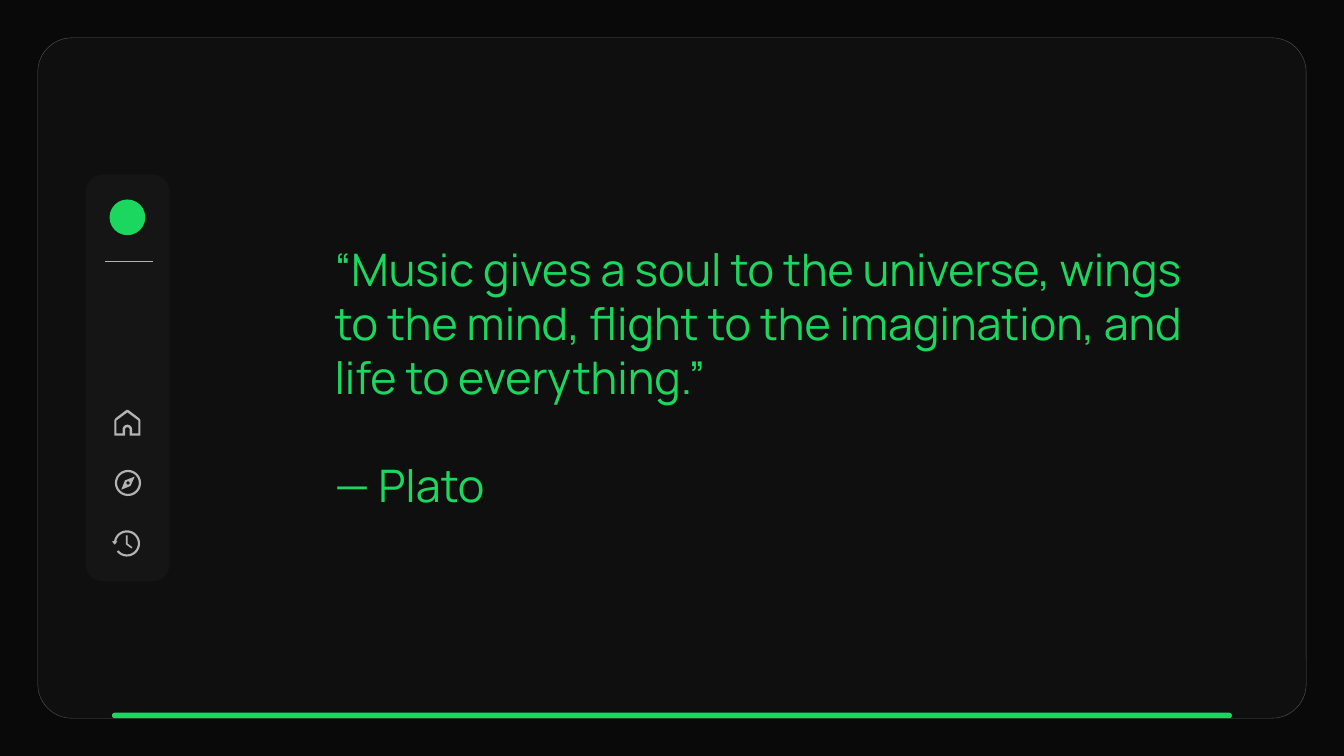
import math
from pptx import Presentation, util as u
from pptx.dml.color import RGBColor
from pptx.enum import shapes, text
from pptx.oxml.ns import qn

COLORS = {
    "backdrop": "090909",
    "card": "0F0F0F",
    "card_edge": "5A5A5A",
    "sidebar": "151515",
    "green": "1BD75F",
    "icon": "B3B3B3",
}
COLS, ROWS = 160, 90  # square grid cells, 12 to the inch


def arc(radius, start, end, cy=0, steps=32):
    """Points along an arc around (0, cy); angles in degrees, clockwise."""
    angles = [math.radians(start + (end - start) * i / steps) for i in range(steps + 1)]
    return [(radius * math.cos(a), cy + radius * math.sin(a)) for a in angles]


class QuoteSlide:
    font = "Manrope"
    hairline = u.Pt(0.25)

    def __init__(self, deck):
        self.slide = deck.slides.add_slide(deck.slide_layouts[6])
        self.cell = deck.slide_width / COLS
        fill = self.slide.background.fill
        fill.solid()
        fill.fore_color.rgb = self.color("backdrop")

    def color(self, name):
        return RGBColor.from_string(COLORS[name])

    def emu(self, *cells):
        return [round(c * self.cell) for c in cells]

    def paint(self, shape, fill, edge=None):
        shape.shadow.inherit = False
        shape.fill.solid()
        shape.fill.fore_color.rgb = self.color(fill)
        if edge:
            shape.line.color.rgb = self.color(edge)
            shape.line.width = self.hairline
        else:
            shape.line.fill.background()

    def preset(self, kind, left, top, width, height, fill, edge=None, adjust=None):
        shape = self.slide.shapes.add_shape(kind, *self.emu(left, top, width, height))
        if adjust is not None:
            shape.adjustments[0] = adjust
        self.paint(shape, fill, edge)

    def outline(self, cx, cy, contours, fill):
        """Filled outline; contours are points relative to the icon's centre."""
        placed = [[self.emu(cx + x, cy + y) for x, y in c] for c in contours]
        builder = self.slide.shapes.build_freeform(*placed[0][0])
        for i, points in enumerate(placed):
            if i:
                builder.move_to(*points[0])
            builder.add_line_segments(points[1:], close=True)
        self.paint(builder.convert_to_shape(), fill)

    def rule(self, x1, x2, y, color):
        line = self.slide.shapes.add_connector(
            shapes.MSO_CONNECTOR.STRAIGHT, *self.emu(x1, y, x2, y))
        line.line.color.rgb = self.color(color)
        line.line.width = self.hairline
        properties = line._element.spPr
        properties.append(properties.makeelement(qn("a:effectLst"), {}))

    def words(self, left, top, width, height, paragraphs, size, color, gap):
        box = self.slide.shapes.add_textbox(*self.emu(left, top, width, height))
        frame = box.text_frame
        frame.word_wrap = True
        frame.vertical_anchor = text.MSO_ANCHOR.TOP
        for i, words in enumerate(paragraphs):
            paragraph = frame.add_paragraph() if i else frame.paragraphs[0]
            if i:
                paragraph.space_before = u.Pt(gap)
            run = paragraph.add_run()
            run.text = words
            run.font.name = self.font
            run.font.size = u.Pt(size)
            run.font.color.rgb = self.color(color)


def main():
    deck = Presentation()
    deck.slide_width, deck.slide_height = u.Inches(COLS / 12), u.Inches(ROWS / 12)
    page = QuoteSlide(deck)
    kinds = shapes.MSO_SHAPE

    # Card with progress bar
    margin = 4.5
    page.preset(kinds.ROUNDED_RECTANGLE, margin, margin, COLS - 2 * margin,
                ROWS - 2 * margin, "card", "card_edge", 0.05)
    page.preset(kinds.ROUNDED_RECTANGLE, 13.33, 84.85, 133.33, 0.65, "green", adjust=0.5)

    # Quote
    page.words(38.64, 28.2, 105.72, 33.48, [
        "“Music gives a soul to the universe, wings to the mind, "
        "flight to the imagination, and life to everything.”",
        "— Plato",
    ], 32, "green", gap=38.6)

    # Sidebar with badge and divider
    axis, badge = 15.17, 4.25
    page.preset(kinds.ROUNDED_RECTANGLE, 10.2, 20.76, 10, 48.48, "sidebar", adjust=0.21)
    page.preset(kinds.OVAL, axis - badge / 2, 23.75, badge, badge, "green")
    page.rule(12.5, 18.25, 31.1, "icon")

    # Navigation icons, evenly spaced
    home_y, compass_y, history_y = [50.3 + 7.2 * i for i in range(3)]
    outer, inner = 1.56, 1.3

    house = [(-outer, outer), (-outer, -0.24), (-1.44, -0.48), (-0.1, -1.5),
             (0.1, -1.5), (1.44, -0.48), (outer, -0.24), (outer, outer),
             (0.27, outer), *arc(0.27, 0, -180, 0.84), (-0.27, outer)]
    room = [(inner, inner), (inner, -0.24), (0, -1.2), (-inner, -0.24), (-inner, inner),
            (-0.57, inner), *arc(0.57, 180, 360, 0.84), (0.57, inner)]
    page.outline(axis, home_y, [house, room], "icon")

    page.preset(kinds.DONUT, axis + 0.07 - outer, compass_y - outer, 2 * outer, 2 * outer,
                "icon", adjust=(outer - inner) / (2 * outer))
    needle = [(-0.36, -0.3), (-0.8, 0.8), (0.3, 0.36), (0.8, -0.76)]
    page.outline(axis + 0.07, compass_y, [needle, arc(0.2, 0, 360)], "icon")

    hands = [(-0.12, -0.96), (0.06, -0.96), (0.06, 0), (0.64, 0.45), (0.54, 0.6), (-0.12, 0.12)]
    page.outline(axis - 0.05, history_y, [hands], "icon")
    rewind = [*arc(outer, 190, 501), *arc(inner, 501, 190),
              (-1.14, -0.24), (-1.45, 0.15), (-1.8, -0.24)]
    page.outline(axis - 0.05, history_y, [rewind], "icon")

    deck.save("out.pptx")


if __name__ == "__main__":
    main()
